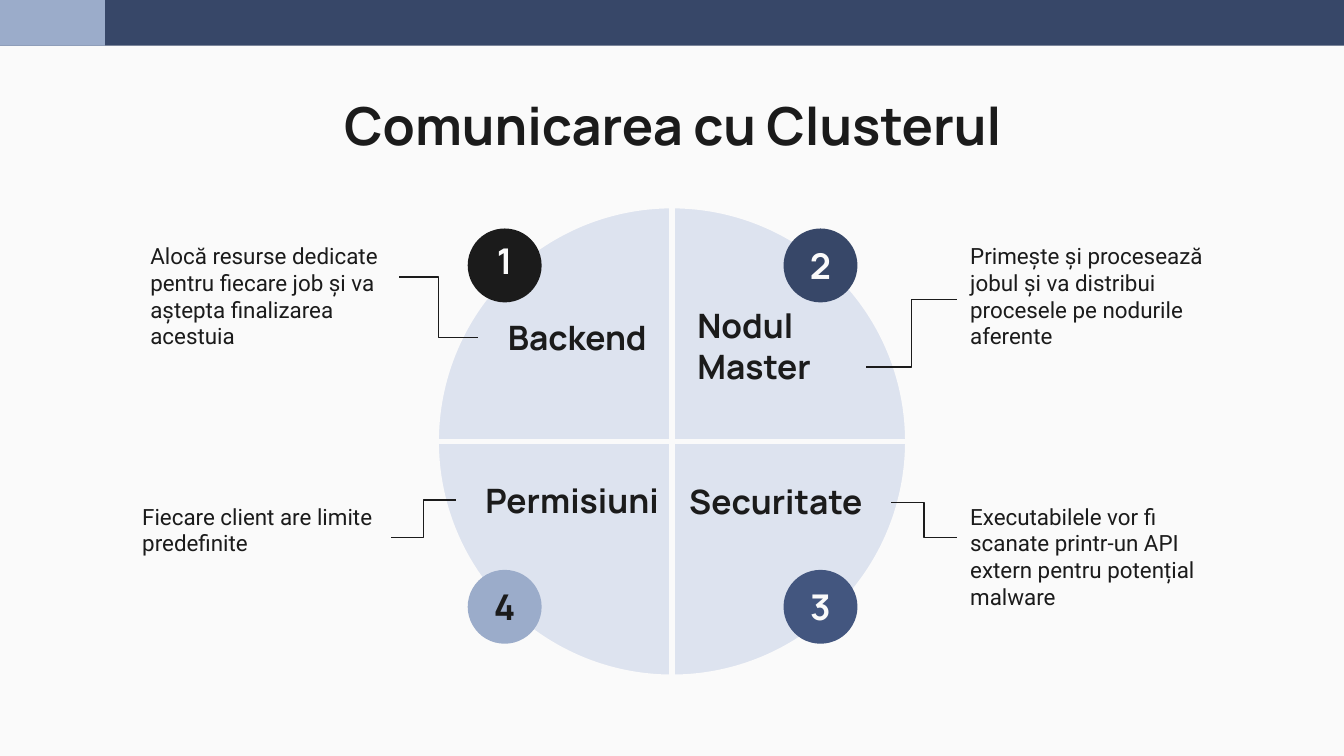
from lxml.etree import SubElement
from pptx import Presentation
from pptx.dml.color import RGBColor
from pptx.enum.shapes import MSO_CONNECTOR, MSO_SHAPE
from pptx.enum.text import MSO_ANCHOR, PP_ALIGN
from pptx.oxml.ns import qn
from pptx.util import Inches, Pt

TITLE = "Comunicarea cu Clusterul"
INK, PAPER, NAVY, SKY = "1B1B1B", "FAFAFA", "374768", "9BACCA"
HEADING, BODY = "Manrope", "Roboto"

QUADRANTS = [
    dict(number="1", column=0, row=0, fill=INK, ink=PAPER, lift=0.08,
         name=["Backend"], name_box=(3.56, 2.27, 1.35),
         detail="Alocă resurse dedicate pentru fiecare job și va aștepta finalizarea acestuia",
         detail_left=1.02, link=(2.97, 2.06, 3.56, 2.51)),
    dict(number="2", column=1, row=0, fill=NAVY, ink=PAPER, lift=0,
         name=["Nodul", "Master"], name_box=(5.09, 2.48, 1.35),
         detail="Primește și procesează jobul și va distribui procesele pe nodurile aferente",
         detail_left=7.12, link=(7.12, 2.23, 6.44, 2.73)),
    dict(number="3", column=1, row=1, fill="43567F", ink=PAPER, lift=0,
         name=["Securitate"], name_box=(5.03, 3.49, 1.61),
         detail="Executabilele vor fi scanate printr-un API extern pentru potențial malware",
         detail_left=7.12, link=(6.63, 3.74, 7.12, 4)),
    dict(number="4", column=0, row=1, fill=SKY, ink=INK, lift=0,
         name=["Permisiuni"], name_box=(3.39, 3.48, 1.61),
         detail="Fiecare client are limite predefinite",
         detail_left=0.96, link=(2.91, 4, 3.39, 3.72)),
]
WIDTH, HEIGHT = 10, 5.625
BAR_HEIGHT = 0.34
WHEEL = 3.51
WHEEL_TOP = 1.53
BADGE = 0.55
BADGE_LEFTS, BADGE_TOPS = (3.48, 5.83), (1.7, 4.24)
DETAIL_TOPS = (1.7, 3.64)


def color(value):
    return RGBColor.from_string(value)


def inches(*values):
    return [Inches(value) for value in values]


def add_block(kind, box, fill):
    block = slide.shapes.add_shape(kind, *inches(*box))
    block.shadow.inherit = False
    block.fill.solid()
    block.fill.fore_color.rgb = color(fill)
    block.line.fill.background()
    return block


def write(holder, lines, size, font, ink=INK, bold=True, align=PP_ALIGN.LEFT,
          anchor=MSO_ANCHOR.TOP, insets=(0.1, 0.1, 0.1, 0.1)):
    frame = holder.text_frame
    frame.word_wrap = True
    frame.vertical_anchor = anchor
    (frame.margin_left, frame.margin_top,
     frame.margin_right, frame.margin_bottom) = inches(*insets)
    paragraph = frame.paragraphs[0]
    paragraph.alignment = align
    for index, line in enumerate(lines):
        if index:
            paragraph.add_line_break()
        run = paragraph.add_run()
        run.text = line
        run.font.size = Pt(size)
        run.font.name = font
        run.font.bold = bold
        run.font.color.rgb = color(ink)


def add_text(box, lines, size, font, **style):
    write(slide.shapes.add_textbox(*inches(*box)), lines, size, font, **style)


def add_link(ends):
    link = slide.shapes.add_connector(MSO_CONNECTOR.ELBOW, *inches(*ends))
    link.line.color.rgb = color(INK)
    link.line.width = Pt(0.75)
    SubElement(link._element.spPr, qn("a:effectLst"))


deck = Presentation()
deck.slide_width, deck.slide_height = inches(WIDTH, HEIGHT)
slide = deck.slides.add_slide(deck.slide_layouts[5])
slide.background.fill.solid()
slide.background.fill.fore_color.rgb = color(PAPER)

add_block(MSO_SHAPE.RECTANGLE, (0, 0, WIDTH, BAR_HEIGHT), NAVY)
add_block(MSO_SHAPE.RECTANGLE, (0, 0, 0.78, BAR_HEIGHT), SKY)

title = slide.shapes.title
title.left, title.top, title.width, title.height = inches(0.79, 0.59, 8.43, 0.63)
write(title, [TITLE], 28, HEADING, align=PP_ALIGN.CENTER)

wheel = add_block(MSO_SHAPE.FLOWCHART_OR,
                  ((WIDTH - WHEEL) / 2, WHEEL_TOP, WHEEL, WHEEL), "C2CDE5")
wheel.line.color.rgb = color(PAPER)
wheel.line.width = Pt(3)
wheel_color = wheel._element.spPr.find(qn("a:solidFill"))[0]
SubElement(wheel_color, qn("a:alpha"), val="50000")

for quadrant in QUADRANTS:
    column, row = quadrant["column"], quadrant["row"]
    badge = add_block(MSO_SHAPE.OVAL,
                      (BADGE_LEFTS[column], BADGE_TOPS[row], BADGE, BADGE),
                      quadrant["fill"])
    write(badge, [quadrant["number"]], 19, HEADING, ink=quadrant["ink"],
          align=PP_ALIGN.CENTER, anchor=MSO_ANCHOR.MIDDLE,
          insets=(0.1, 0.05, 0.1, 0.05 + quadrant["lift"]))
    add_text((*quadrant["name_box"], 0.49), quadrant["name"], 18, HEADING,
             align=PP_ALIGN.LEFT if column else PP_ALIGN.RIGHT,
             anchor=MSO_ANCHOR.BOTTOM)
    add_text((quadrant["detail_left"], DETAIL_TOPS[row], 1.95, 0.72),
             [quadrant["detail"]], 12, BODY, bold=False)
    add_link(quadrant["link"])

deck.save("out.pptx")
